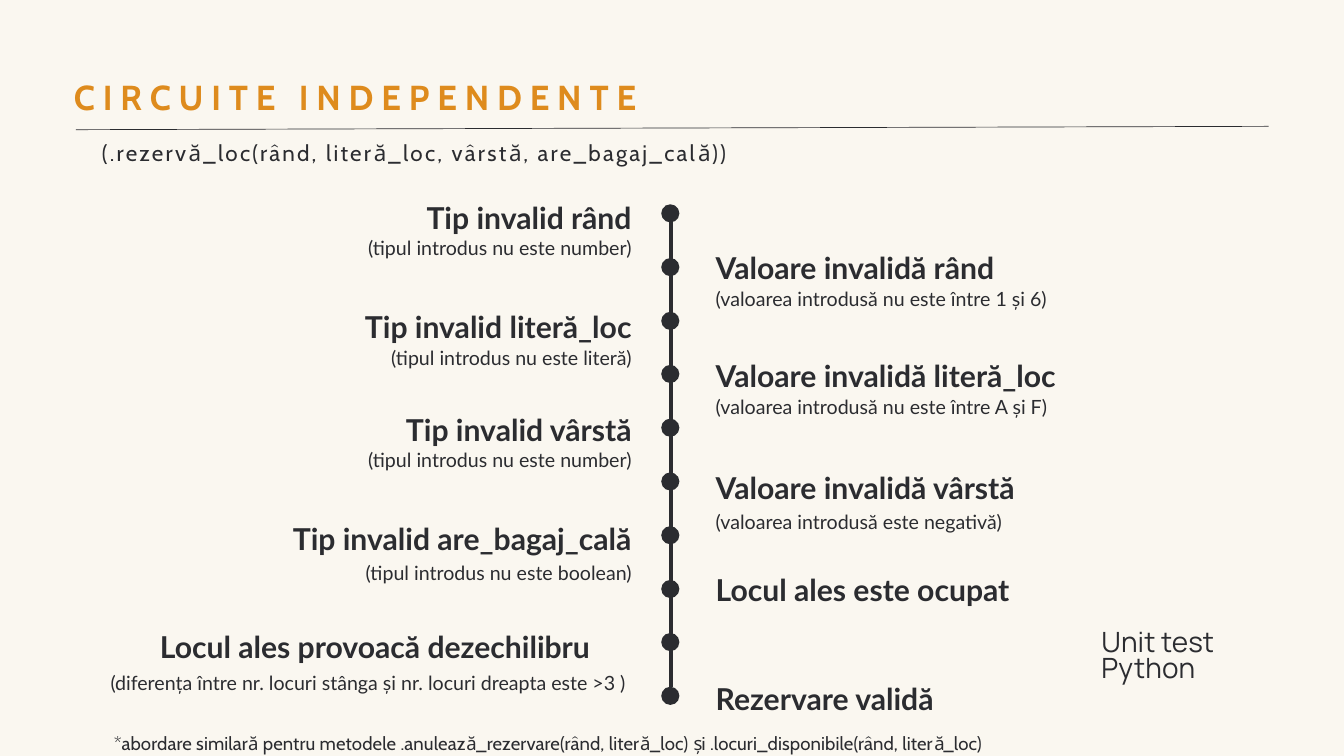
from lxml.etree import SubElement
from pptx import Presentation
from pptx.dml.color import RGBColor
from pptx.enum.shapes import MSO_CONNECTOR, MSO_SHAPE
from pptx.enum.text import MSO_ANCHOR, MSO_AUTO_SIZE, PP_ALIGN
from pptx.oxml.ns import qn
from pptx.util import Pt

PX = 9144  # EMU per px, 100 px to the inch
CREAM = RGBColor(0xFA, 0xF7, 0xF0)
INK = RGBColor(0x2B, 0x2C, 0x30)
ORANGE = RGBColor(0xDE, 0x8B, 0x1D)
LEFT, CENTER, RIGHT = PP_ALIGN.LEFT, PP_ALIGN.CENTER, PP_ALIGN.RIGHT


class Painter:
    """Holds the style and the slide being drawn."""

    def __init__(self, slide):
        self.slide = slide
        slide.background.fill.solid()
        slide.background.fill.fore_color.rgb = CREAM

    def fill_text(self, shape, lines, font, size, leading, align=LEFT,
                  color=INK, bold=False, tracking=0):
        frame = shape.text_frame
        frame.margin_left = frame.margin_right = 0
        frame.margin_top = frame.margin_bottom = 0
        frame.word_wrap = True
        frame.auto_size = MSO_AUTO_SIZE.SHAPE_TO_FIT_TEXT
        frame.vertical_anchor = MSO_ANCHOR.TOP
        for number, line in enumerate(lines):
            paragraph = frame.add_paragraph() if number else frame.paragraphs[0]
            paragraph.alignment = align
            paragraph.line_spacing = Pt(leading)
            run = paragraph.add_run()
            run.text = line
            run.font.name = font
            run.font.size = Pt(size)
            run.font.bold = bold
            run.font.color.rgb = color
            if tracking:
                run.font._element.set("spc", str(round(tracking * 100)))

    def title(self, box, text, **style):
        shape = self.slide.shapes.title
        shape.left, shape.top, shape.width, shape.height = [v * PX for v in box]
        self.fill_text(shape, [text], **style)

    def text(self, box, *lines, **style):
        shape = self.slide.shapes.add_textbox(*[v * PX for v in box])
        self.fill_text(shape, lines, **style)

    def line(self, start, end, weight):
        ends = [v * PX for v in (*start, *end)]
        connector = self.slide.shapes.add_connector(MSO_CONNECTOR.STRAIGHT, *ends)
        connector.line.color.rgb = INK
        connector.line.width = Pt(weight)
        SubElement(connector._element.spPr, qn("a:effectLst"))

    def dot(self, left, top, size):
        shape = self.slide.shapes.add_shape(
            MSO_SHAPE.OVAL, left * PX, top * PX, size * PX, size * PX)
        shape.shadow.inherit = False
        shape.fill.solid()
        shape.fill.fore_color.rgb = INK
        shape.line.fill.background()


HEADING = dict(font="Lato", size=32.3, leading=45.2, bold=True)
DETAIL = dict(font="Lato", size=21, leading=37)

# Left column: heading top, heading, detail top, detail
TYPE_CASES = [
    (287, "Tip invalid rând", 335, "(tipul introdus nu este number)"),
    (450, "Tip invalid literă_loc", 498, "(tipul introdus nu este literă)"),
    (603, "Tip invalid vârstă", 650, "(tipul introdus nu este number)"),
    (766, "Tip invalid are_bagaj_cală", 818, "(tipul introdus nu este boolean)"),
]
# Right column, same order
VALUE_CASES = [
    (362, "Valoare invalidă rând", 410, "(valoarea introdusă nu este între 1 și 6)"),
    (523, "Valoare invalidă literă_loc", 571, "(valoarea introdusă nu este între A și F)"),
    (690, "Valoare invalidă vârstă", 743, "(valoarea introdusă este negativă)"),
    (841, "Locul ales este ocupat", None, None),
    (1004, "Rezervare validă", None, None),
]
COLUMNS = [(293, 647, RIGHT, TYPE_CASES), (1065, 791, LEFT, VALUE_CASES)]


def main():
    deck = Presentation()
    deck.slide_width, deck.slide_height = 2000 * PX, 1125 * PX
    painter = Painter(deck.slides.add_slide(deck.slide_layouts[5]))

    # Header
    painter.title((110, 103, 1775, 71), "CIRCUITE INDEPENDENTE", font="Cabin",
                  size=37.1, leading=52, color=ORANGE, bold=True, tracking=8.4)
    painter.line((113, 193), (1888, 188), 0.75)
    painter.text((113, 200, 1007, 45),
                 "(.rezervă_loc(rând, literă_loc, vârstă, are_bagaj_cală))",
                 font="Cabin", size=24, leading=33.6, align=CENTER, tracking=2.4)

    # Test cases on both sides of the timeline
    for left, width, align, cases in COLUMNS:
        for top, heading, detail_top, detail in cases:
            painter.text((left, top, width, 62), heading, align=align, **HEADING)
            if detail:
                painter.text((left, detail_top, width, 48), detail, align=align, **DETAIL)

    # Imbalance case, wider than its column
    painter.text((238, 926, 701, 62), "Locul ales provoacă dezechilibru", **HEADING)
    painter.text((113, 982, 818, 48),
                 "(diferența între nr. locuri stânga și nr. locuri dreapta este >3 )",
                 align=RIGHT, **DETAIL)

    # Timeline with ten evenly spaced stops
    painter.line((998, 1023), (998, 317), 4)
    for stop in range(10):
        painter.dot(984, round(304 + 79.8 * stop), 27)

    # Tool label and footnote
    painter.text((1639, 942, 184, 80), "Unit test", "Python",
                 font="Manrope", size=29.9, leading=27.2, tracking=0.1)
    painter.text((110, 1083, 1413, 38),
                 "*abordare similară pentru metodele .anulează_rezervare(rând, literă_loc) "
                 "și .locuri_disponibile(rând, literă_loc)",
                 font="Cabin", size=19.9, leading=27.8, align=CENTER, tracking=0.1)

    deck.save("out.pptx")


if __name__ == "__main__":
    main()
